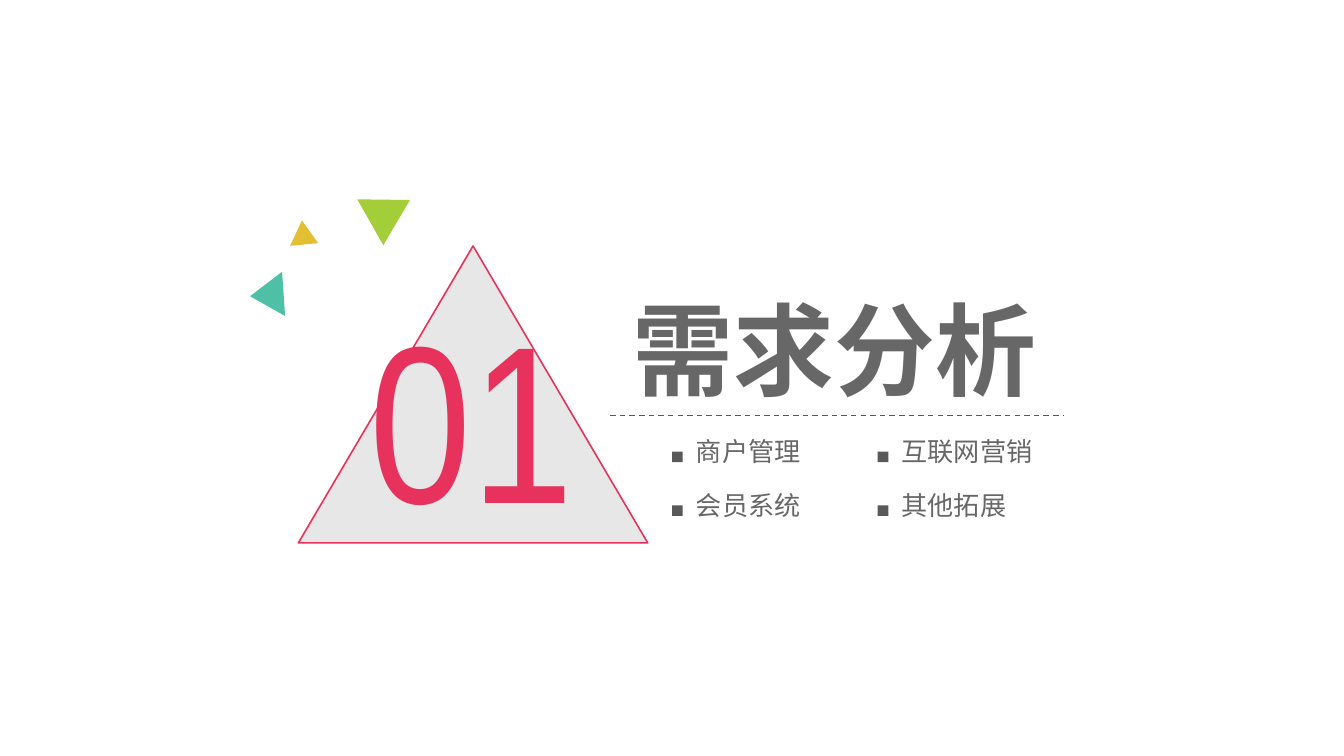
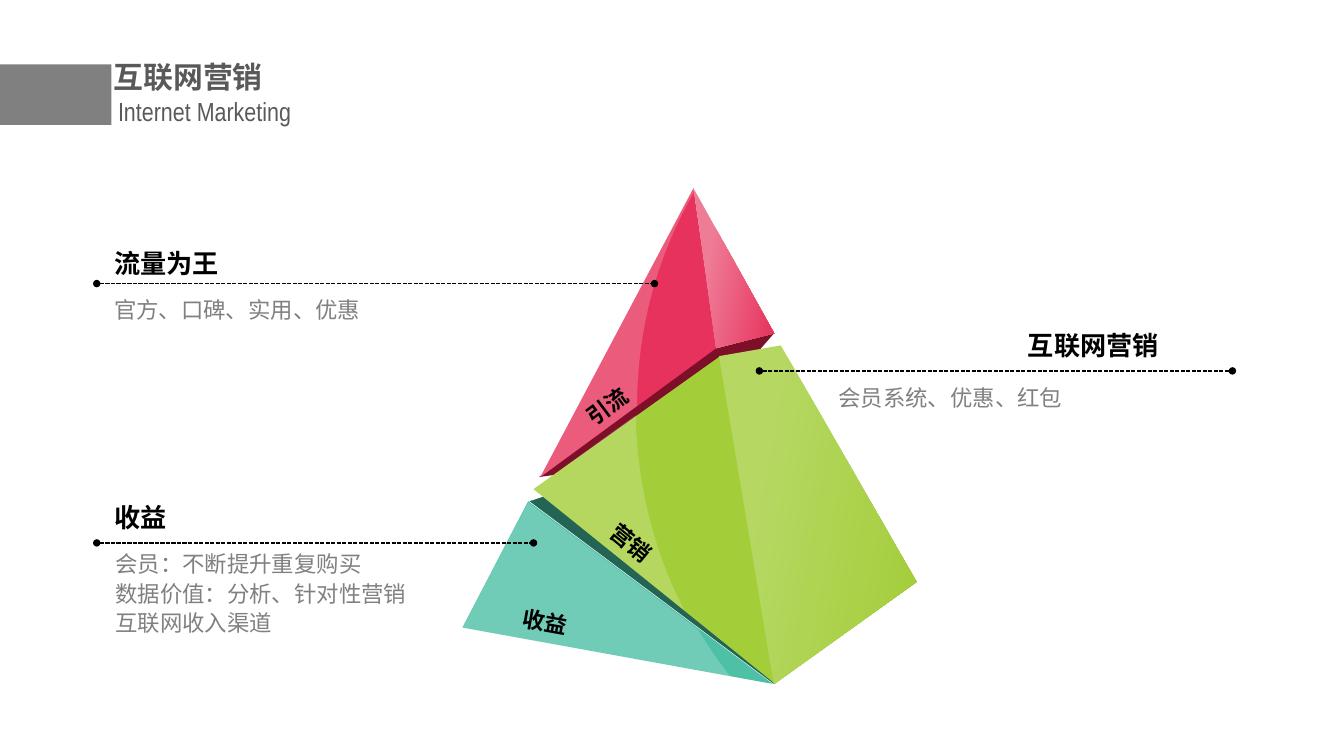
from lxml import etree
from pptx import Presentation
from pptx import util as u
from pptx.dml.color import RGBColor
from pptx.enum import dml, shapes, text
from pptx.oxml.ns import qn

WIDTH = 10
HEIGHT = WIDTH * 9 / 16
CJK, LATIN = "Noto Sans CJK SC", "Arial Narrow"
BLACK = RGBColor(0x00, 0x00, 0x00)
WHITE = RGBColor(0xFF, 0xFF, 0xFF)
DARK = RGBColor(0x59, 0x59, 0x59)
GRAY = RGBColor(0x80, 0x80, 0x80)
RED = RGBColor(0xE6, 0x32, 0x5C)
PINK = RGBColor(0xEF, 0x7C, 0x97)
MAROON = RGBColor(0x7D, 0x0F, 0x29)
GREEN = RGBColor(0xA3, 0xCD, 0x39)
LIME = RGBColor(0xB6, 0xD8, 0x63)
YELLOW = RGBColor(0xE4, 0xBE, 0x33)
TEAL = RGBColor(0x4E, 0xC0, 0xA5)
PINE = RGBColor(0x23, 0x64, 0x54)

TRIANGLE = shapes.MSO_SHAPE.ISOSCELES_TRIANGLE
RECTANGLE = shapes.MSO_SHAPE.RECTANGLE

# Section slide
SECTION = {"number": "01", "title": "需求分析"}
TOPICS = [["商户管理", "互联网营销"], ["会员系统", "其他拓展"]]
TOPIC_WIDTHS = {4: 0.99, 5: 1.18}  # by number of characters
CONFETTI = [  # left, top, width, height, rotation, colour
    (2.61, 1.40, 0.39, 0.34, 300.6, GREEN),
    (2.15, 1.64, 0.21, 0.18, 354.7, YELLOW),
    (1.82, 2.07, 0.33, 0.25, 266.1, TEAL),
]

# Pyramid slide
HEADING = {"title": "互联网营销", "subtitle": "Internet Marketing"}
SHEEN = (WHITE, 20)
# Each layer is a list of faces: fill, then corners; six numbers make a curve.
LAYERS = [
    [
        (TEAL, [(3.44, 4.67), (3.93, 3.73), (5.75, 5.09)]),
        (PINE, [(3.94, 3.73), (4.92, 3.41), (6.8, 4.32), (5.76, 5.09)]),
        (SHEEN, [(3.93, 3.74), (5.19, 4.68),
                 (5.27, 4.81, 5.35, 4.93, 5.44, 5.04), (3.44, 4.67)]),
    ],
    [
        (MAROON, [(5.33, 2.58), (5.76, 2.48), (4.94, 3.42), (4.01, 3.55)]),
        (RED, [(4.02, 3.55), (5.16, 1.4), (5.33, 2.59)]),
        ((PINK, RED), [(5.33, 2.59), (5.16, 1.4), (5.76, 2.48)]),
        (SHEEN, [(5.16, 1.4), (5.17, 1.42),
                 (4.9, 1.88, 4.74, 2.43, 4.74, 3.02), (4.02, 3.55)]),
    ],
    [
        (GREEN, [(3.97, 3.64), (5.36, 2.65), (5.77, 5.09)]),
        ((LIME, GREEN), [(5.35, 2.65), (5.81, 2.57), (6.82, 4.33), (5.76, 5.09)]),
        (SHEEN, [(4.73, 3.09), (4.74, 3.62, 4.87, 4.11, 5.09, 4.54), (3.97, 3.64)]),
    ],
]
LAYER_LABELS = [  # words, left, top, rotation
    ("引流", 4.16, 2.61, 323.2),
    ("营销", 4.35, 4.13, 39.5),
    ("收益", 3.79, 4.53, 10.2),
]
CALLOUTS = [  # line (left, right, y), title and its place, body and its box
    ((0.72, 4.87, 2.11), "流量为王", (0.75, 1.79),
     ["官方、口碑、实用、优惠"], (0.75, 2.13, 2.99, 0.31)),
    ((0.72, 3.97, 4.04), "收益", (0.75, 3.68),
     ["会员：不断提升重复购买", "数据价值：分析、针对性营销", "互联网收入渠道"],
     (0.76, 4.02, 2.67, 0.76)),
    ((5.65, 9.17, 2.76), "互联网营销", (7.55, 2.4),
     ["会员系统、优惠、红包"], (6.14, 2.79, 2.99, 0.31)),
]


def inches(*lengths):
    return [u.Inches(length) for length in lengths]


def set_alpha(fill_parent, percent):
    color = fill_parent.find(".//" + qn("a:srgbClr"))
    etree.SubElement(color, qn("a:alpha")).set("val", str(percent * 1000))


def paint(shape, fill):
    """Fill with a colour, a (colour, opacity) pair or a two-colour gradient."""
    shape.shadow.inherit = False
    shape.line.fill.background()
    if isinstance(fill, RGBColor):
        shape.fill.solid()
        shape.fill.fore_color.rgb = fill
    elif isinstance(fill[1], RGBColor):
        shape.fill.gradient()
        shape.fill.gradient_angle = 350
        for stop, color, position in zip(shape.fill.gradient_stops, fill, (0.24, 1)):
            stop.color.rgb = color
            stop.position = position
    else:
        paint(shape, fill[0])
        set_alpha(shape._element.spPr, fill[1])


def add_preset(parent, kind, box, fill, rotation=0):
    shape = parent.shapes.add_shape(kind, *inches(*box))
    shape.rotation = rotation
    paint(shape, fill)
    return shape


def add_text(parent, box, lines, size, color, font=CJK, bold=False, alpha=None,
             wrap=True, justify=False, spacing=None, rotation=0):
    label = parent.shapes.add_textbox(*inches(*box))
    label.rotation = rotation
    frame = label.text_frame
    frame.text = "\n".join(lines)
    frame.word_wrap = wrap
    frame.auto_size = text.MSO_AUTO_SIZE.SHAPE_TO_FIT_TEXT
    for para in frame.paragraphs:
        if justify:
            para.alignment = text.PP_ALIGN.JUSTIFY
        if spacing:
            para.line_spacing = u.Pt(spacing)
        for span in para.runs:
            span.font.size = u.Pt(size)
            span.font.bold = bold
            span.font.color.rgb = color
            span.font.name = font
            properties = span.font._element
            etree.SubElement(properties, qn("a:ea")).set("typeface", font)
            if alpha:
                set_alpha(properties, alpha)


def add_rule(page, left, right, y, color, dash, dots=False):
    rule = page.shapes.add_connector(
        shapes.MSO_CONNECTOR.STRAIGHT, *inches(left, y, right, y))
    rule.line.color.rgb = color
    rule.line.width = u.Pt(0.75)
    rule.line.dash_style = dash
    if dots:
        for tag in ("a:headEnd", "a:tailEnd"):
            dot = etree.SubElement(rule.line._ln, qn(tag))
            for key, value in (("type", "oval"), ("w", "sm"), ("len", "sm")):
                dot.set(key, value)
    etree.SubElement(rule._element.spPr, qn("a:effectLst"))


def trace(corners, steps=16):
    """Turn corners and cubic curves into a plain list of points."""
    points = []
    for corner in corners:
        if len(corner) == 2:
            points.append(corner)
            continue
        knots = [points[-1], corner[:2], corner[2:4], corner[4:]]
        for step in range(1, steps + 1):
            t = step / steps
            weights = ((1 - t) ** 3, 3 * t * (1 - t) ** 2, 3 * t * t * (1 - t), t ** 3)
            points.append(tuple(
                sum(w * knot[axis] for w, knot in zip(weights, knots))
                for axis in (0, 1)))
    return points


def add_face(parent, fill, corners):
    start, *others = [inches(*point) for point in trace(corners)]
    builder = parent.shapes.build_freeform(*start)
    builder.add_line_segments(others, close=True)
    paint(builder.convert_to_shape(), fill)


def build_section(page):
    emblem = add_preset(page, TRIANGLE, (2.22, 1.83, 2.6, 2.21), (DARK, 14))
    emblem.line.color.rgb = RED
    emblem.line.width = u.Pt(0.85)
    add_text(page, (2.65, 2.03, 1.75, 2.12), [SECTION["number"]], 120, RED,
             font=LATIN, wrap=False)
    add_text(page, (4.61, 2.09, 3.23, 1.01), [SECTION["title"]], 54, DARK,
             bold=True, alpha=91, wrap=False)
    add_rule(page, 4.54, 7.91, 3.09, DARK, dml.MSO_LINE.DASH)
    for row, topics in enumerate(TOPICS):
        for column, topic in enumerate(topics):
            left, top = 5 + 1.53 * column, 3.19 + 0.4 * row
            item = page.shapes.add_group_shape()
            add_preset(item, RECTANGLE, (left, top + 0.17, 0.08, 0.08), DARK)
            add_text(item, (left + 0.08, top, TOPIC_WIDTHS[len(topic)], 0.34),
                     [topic], 14, DARK, alpha=91, wrap=False)
    for *box, rotation, color in CONFETTI:
        add_preset(page, TRIANGLE, box, color, rotation)


def build_pyramid(page):
    for faces in LAYERS:
        layer = page.shapes.add_group_shape()
        for fill, corners in faces:
            add_face(layer, fill, corners)
    for words, left, top, rotation in LAYER_LABELS:
        add_text(page, (left, top, 1.35, 0.31), [words], 12, BLACK, bold=True,
                 justify=True, spacing=16, rotation=rotation)
    for rule, title, place, body, body_box in CALLOUTS:
        add_rule(page, *rule, BLACK, dml.MSO_LINE.SQUARE_DOT, dots=True)
        add_text(page, (*place, 1.62, 0.34), [title], 14, BLACK, bold=True,
                 justify=True)
        add_text(page, body_box, body, 12, GRAY, justify=True, spacing=16)
    add_preset(page, RECTANGLE, (0, 0.48, 0.83, 0.45), GRAY)
    add_text(page, (0.75, 0.39, 2.83, 0.37), [HEADING["title"]], 16, DARK, bold=True)
    add_text(page, (0.78, 0.66, 1.71, 0.34), [HEADING["subtitle"]], 14, DARK,
             font=LATIN, wrap=False)


def main():
    deck = Presentation()
    deck.slide_width, deck.slide_height = inches(WIDTH, HEIGHT)
    for build in (build_section, build_pyramid):
        build(deck.slides.add_slide(deck.slide_layouts[6]))
    deck.save("out.pptx")


if __name__ == "__main__":
    main()
